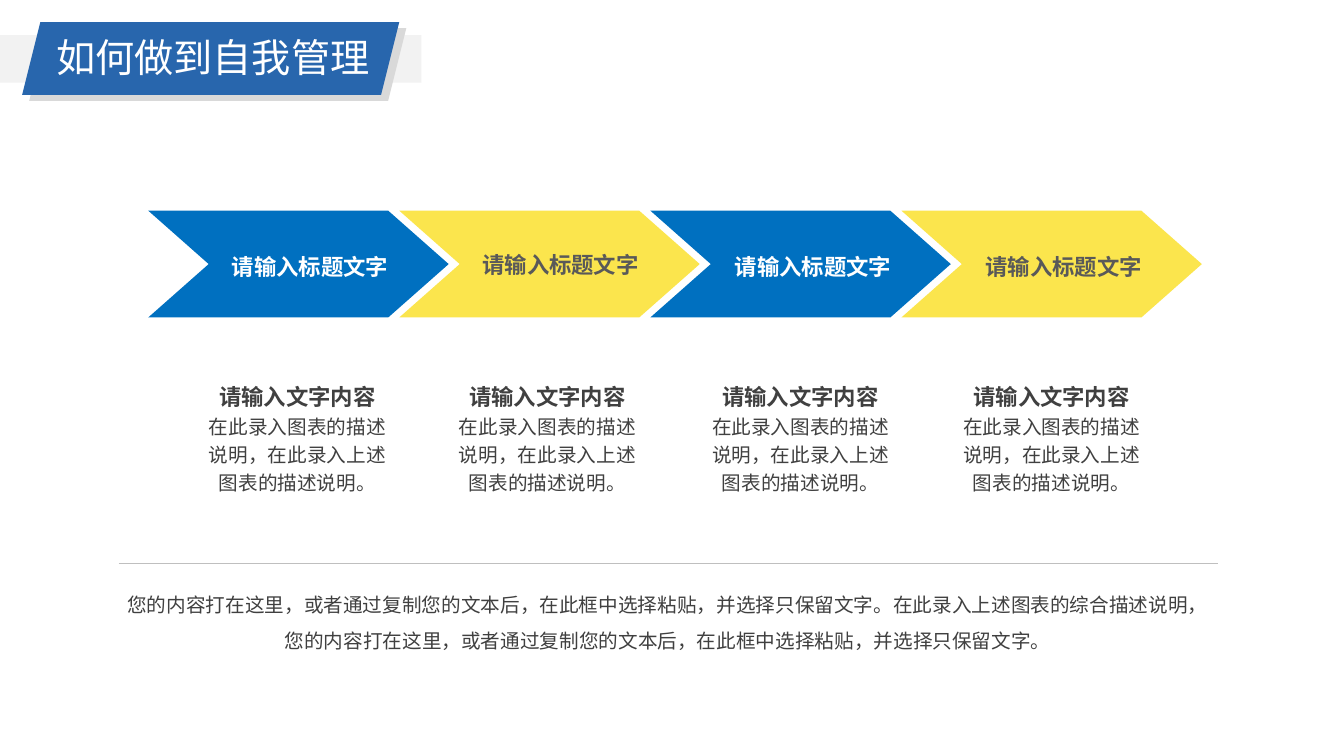
"""Build the self-management slide with four chevron steps and a summary."""
from dataclasses import dataclass

from lxml import etree
from pptx import Presentation
from pptx import util as u
from pptx.dml.color import RGBColor
from pptx.enum import shapes, text
from pptx.oxml.ns import qn

PX = 9144


@dataclass(frozen=True)
class Theme:
    font: str = "Noto Sans CJK SC"
    white: str = "FFFFFF"
    band: str = "F2F2F2"
    shade: str = "D9D9D9"
    banner: str = "2866AD"
    blue: str = "0070C0"
    yellow: str = "FBE54D"
    label: str = "595959"
    body: str = "404040"
    rule: str = "BFBFBF"
    title_size: int = 28
    head_size: int = 16
    body_size: int = 14


@dataclass(frozen=True)
class Box:
    left: int
    top: int
    width: int
    height: int

    def emu(self) -> list[int]:
        return [n * PX for n in (self.left, self.top, self.width, self.height)]


@dataclass(frozen=True)
class Para:
    words: str
    size: int
    color: str
    bold: bool = False
    align: text.PP_ALIGN = text.PP_ALIGN.CENTER
    spacing: float = 1.2


@dataclass(frozen=True)
class Step:
    fill: str
    color: str
    label_left: int
    label_width: int
    note_left: int
    spacing: float = 1.2


T = Theme()
TITLE = "如何做到自我管理"
LABEL = "请输入标题文字"
NOTE_HEAD = "请输入文字内容"
NOTE = "在此录入图表的描述说明，在此录入上述图表的描述说明。"
SUMMARY = (
    "您的内容打在这里，或者通过复制您的文本后，在此框中选择粘贴，并选择只保留文字。"
    "在此录入上述图表的综合描述说明，"
    "您的内容打在这里，或者通过复制您的文本后，在此框中选择粘贴，并选择只保留文字。"
)
STEPS = [
    Step(T.blue, T.white, 178, 259, 193),
    Step(T.yellow, T.label, 430, 252, 441, 1.0),
    Step(T.blue, T.white, 682, 249, 692),
    Step(T.yellow, T.label, 929, 252, 941),
]
CHEVRON = Box(147, 209, 298, 106)
CHEVRON_PITCH = 249
CHEVRON_TIP = 60


def paint(sp, color: str) -> None:
    sp.shadow.inherit = False
    sp.fill.solid()
    sp.fill.fore_color.rgb = RGBColor.from_string(color)
    sp.line.fill.background()


def add_block(s, kind: shapes.MSO_SHAPE, box: Box, color: str) -> None:
    paint(s.shapes.add_shape(kind, *box.emu()), color)


def add_chevron(s, box: Box, color: str) -> None:
    right, bottom = box.left + box.width, box.top + box.height
    middle = box.top + box.height // 2
    outline = s.shapes.build_freeform(box.left, box.top, scale=PX)
    outline.add_line_segments([
        (right - CHEVRON_TIP, box.top),
        (right, middle),
        (right - CHEVRON_TIP, bottom),
        (box.left, bottom),
        (box.left + CHEVRON_TIP, middle),
    ])
    paint(outline.convert_to_shape(), color)


def add_text(
    s,
    box: Box,
    paras: list[Para],
    anchor: text.MSO_ANCHOR = text.MSO_ANCHOR.TOP,
    wrap: bool = True,
    inset: tuple[int, int] = (10, 5),
) -> None:
    tf = s.shapes.add_textbox(*box.emu()).text_frame
    tf.word_wrap = wrap
    tf.auto_size = text.MSO_AUTO_SIZE.SHAPE_TO_FIT_TEXT
    tf.vertical_anchor = anchor
    tf.margin_left = tf.margin_right = inset[0] * PX
    tf.margin_top = tf.margin_bottom = inset[1] * PX
    for i, para in enumerate(paras):
        p = tf.add_paragraph() if i else tf.paragraphs[0]
        p.alignment = para.align
        p.line_spacing = para.spacing
        r = p.add_run()
        r.text = para.words
        r.font.size = u.Pt(para.size)
        r.font.bold = para.bold
        r.font.color.rgb = RGBColor.from_string(para.color)
        r.font.name = T.font
        etree.SubElement(r.font._element, qn("a:ea"), typeface=T.font)


def add_rule(s, left: int, right: int, y: int) -> None:
    line = s.shapes.add_connector(
        shapes.MSO_CONNECTOR.STRAIGHT, left * PX, y * PX, right * PX, y * PX
    )
    line.line.color.rgb = RGBColor.from_string(T.rule)
    line.line.width = u.Pt(0.25)
    etree.SubElement(line._element.spPr, qn("a:effectLst"))


def add_header(s) -> None:
    add_block(s, shapes.MSO_SHAPE.RECTANGLE, Box(0, 35, 418, 47), T.band)
    for left, top, color in ((29, 28, T.shade), (22, 22, T.banner)):
        add_block(s, shapes.MSO_SHAPE.PARALLELOGRAM, Box(left, top, 374, 72), color)
    title = Para(TITLE, T.title_size, T.white, align=text.PP_ALIGN.LEFT, spacing=1.0)
    add_text(s, Box(46, 28, 334, 57), [title], wrap=False)


def add_step(s, index: int, step: Step) -> None:
    left = CHEVRON.left + index * CHEVRON_PITCH
    add_chevron(s, Box(left, CHEVRON.top, CHEVRON.width, CHEVRON.height), step.fill)
    label = Para(LABEL, T.head_size, step.color, bold=True, spacing=step.spacing)
    add_text(
        s, Box(step.label_left, 243, step.label_width, 38), [label], text.MSO_ANCHOR.MIDDLE
    )
    add_text(s, Box(step.note_left, 370, 204, 123), [
        Para(NOTE_HEAD, T.head_size, T.body, bold=True),
        Para(NOTE, T.body_size, T.body),
    ])


def main() -> None:
    prs = Presentation()
    prs.slide_width, prs.slide_height = 1333 * PX, 750 * PX
    s = prs.slides.add_slide(prs.slide_layouts[6])
    add_header(s)
    for index, step in enumerate(STEPS):
        add_step(s, index, step)
    add_rule(s, 118, 1208, 559)
    summary = Para(SUMMARY, T.body_size, T.body, spacing=1.5)
    add_text(s, Box(116, 573, 1093, 72), [summary], inset=(7, 4))
    prs.save("out.pptx")


if __name__ == "__main__":
    main()
